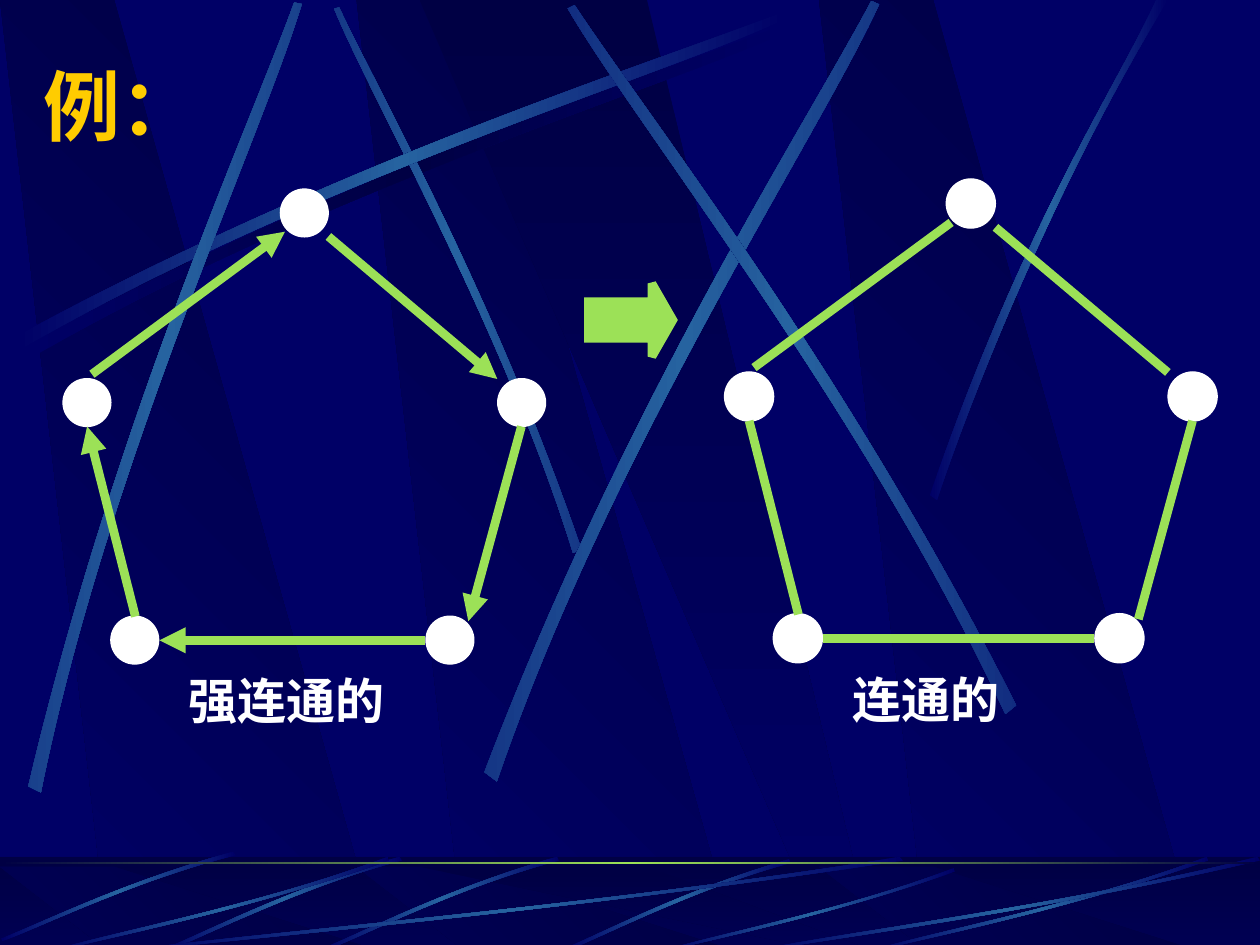
from copy import deepcopy

from lxml.etree import SubElement as Sub
from pptx import Presentation
from pptx.dml.color import RGBColor
from pptx.enum.shapes import MSO_CONNECTOR as LINK, MSO_SHAPE as SHAPE
from pptx.enum.text import MSO_ANCHOR as ANCHOR
from pptx.oxml.ns import qn
from pptx.util import Cm, Pt

UNIT = 2.54
NAVY = RGBColor(0x00, 0x00, 0x66)
DARK = RGBColor(0x00, 0x00, 0x44)
BLUE = RGBColor(0x26, 0x63, 0xA0)
LIME = RGBColor(0x9C, 0xE1, 0x57)
GOLD = RGBColor(0xFF, 0xCC, 0x00)
WHITE = RGBColor(0xFF, 0xFF, 0xFF)
HAN = "Noto Sans CJK SC"

BEAM = [(0.285, 1), (1, 1), (0.3, 0), (0, 0)]
WEDGE = [(0, 0), (0.9, 1), (1, 1), (0.5, 0)]
SWEEP = [(0, 0.96), (0.43, 0.43), (0.83, 0.15), (0.995, 0),
         (1, 0.02), (0.84, 0.19), (0.38, 0.5), (0.005, 1)]
STALK = [(0, 0.99), (0.4, 0.44), (0.79, 0.17), (0.95, 0),
         (1, 0), (0.52, 0.37), (0.16, 0.81), (0.03, 1)]
BLADE = [(0.99, 0), (0.53, 0.33), (0.17, 0.8), (0, 0.97),
         (0.005, 1), (0.17, 0.84), (0.58, 0.31), (1, 0.04)]
REED = [(1, 0.04), (0.57, 0.57), (0.17, 0.85), (0.005, 1),
        (0, 0.99), (0.16, 0.81), (0.62, 0.51), (0.995, 0)]
NODES = [(0.5, 0), (0, 0.444), (1, 0.444), (0.11, 1), (0.835, 1)]
EDGES = [((0.15, 0.9), (0.05, 0.5)), ((0.06, 0.39), (0.46, 0.09)),
         ((0.55, 0.1), (0.9, 0.4)), ((0.95, 0.5), (0.84, 0.91)),
         ((0.75, 0.95), (0.2, 0.95))]


def span(*nums):
    return [Cm(num * UNIT) for num in nums]


def spot(box, point):
    left, top, wide, high = box
    return span(left + point[0] * wide, top + point[1] * high)


def blend(shape, tones, angle):
    shape.fill.gradient()
    shape.fill.gradient_angle = angle
    grad = shape._element.spPr.find(qn("a:gradFill"))
    grad.set("rotWithShape", "0")
    stops = grad.find(qn("a:gsLst"))
    if len(tones) == 3:
        stops.insert(1, deepcopy(stops[0]))
    for rank, (stop, tone) in enumerate(zip(shape.fill.gradient_stops, tones)):
        stop.color.rgb = tone
        stop.position = rank / (len(tones) - 1)


def add_path(group, box, points):
    first, *rest = [spot(box, point) for point in points]
    maker = group.shapes.build_freeform(*first)
    maker.add_line_segments(rest, close=True)
    shape = maker.convert_to_shape()
    shape.shadow.inherit = False
    shape.line.fill.background()
    return shape


def bend(shape):
    lines = list(shape._element.iter(qn("a:lnTo")))
    for trio in (lines[:3], lines[4:7]):
        arc = trio[0].makeelement(qn("a:cubicBezTo"))
        trio[0].addprevious(arc)
        for line in trio:
            arc.append(line[0])
            line.getparent().remove(line)


def add_band(group, box, form, turn=0, flip=False, tone=BLUE):
    points = [(1 - x, y) for x, y in form] if flip else form
    shape = add_path(group, box, points)
    bend(shape)
    shape.rotation = turn
    blend(shape, [NAVY, tone, NAVY], 180)


def add_shape(group, kind, box):
    shape = group.shapes.add_shape(kind, *span(*box))
    shape.shadow.inherit = False
    shape.line.fill.background()
    return shape


def add_beams(group, box):
    left, top, wide, high = box
    for shift in (2.83, 0, 6.5):
        beam = add_path(group, (left + shift, top, 3.02, high), BEAM)
        blend(beam, [DARK, NAVY], 225)
    wedge = add_path(group, (left + 3.33, top, 3.61, high), WEDGE)
    blend(wedge, [DARK, NAVY], 270)


def add_sky(group, box):
    left, top, wide, high = box
    add_beams(group, box)
    bands = [
        (0.2, 0.18, 6.09, 2.67, SWEEP, 0, False, DARK),
        (1.41, 1.35, 4.42, 1.75, SWEEP, 45, True, BLUE),
        (0.14, 0.1, 6.09, 2.67, SWEEP, 0, False, BLUE),
        (-1.71, 1.82, 6.08, 2.67, SWEEP, 311.7, False, BLUE),
        (2.31, 1.6, 6.24, 3.01, SWEEP, 321.6, False, BLUE),
        (3.23, 1.52, 6.08, 2.67, SWEEP, 34.8, True, BLUE),
        (7.38, 0, 1.89, 3.97, STALK, 0, False, BLUE),
    ]
    for x, y, w, h, *look in bands:
        add_band(group, (left + x, top + y, w, h), *look)


def add_floor(group, box):
    left, top, wide, high = box
    blend(add_shape(group, SHAPE.RECTANGLE, box), [DARK, NAVY], 270)
    add_beams(group, (left, top + 0.08, wide, high - 0.08))
    veil = add_shape(group, SHAPE.RECTANGLE, box)
    veil.fill.solid()
    veil.fill.fore_color.rgb = DARK
    tint = veil._element.spPr.find(qn("a:solidFill"))[0]
    Sub(tint, qn("a:alpha"), val="50000")
    bands = [
        (4.48, 0.02, 1.8, 0.73, BLADE), (2.56, 0, 1.88, 0.75, BLADE),
        (1.31, 0, 1.88, 0.75, BLADE), (0.01, -0.04, 1.86, 0.71, BLADE),
        (1, 0, 6.17, 0.75, REED), (0.42, 0, 2.67, 0.75, REED),
        (5.27, 0.09, 2.31, 0.66, REED), (6.92, 0, 2.67, 0.75, REED),
        (6, 0, 4, 0.75, REED),
    ]
    for x, y, w, h, form in bands:
        add_band(group, (left + x, top + y, w, h), form)
    rule = add_shape(group, SHAPE.RECTANGLE, (left, top + 0.04, wide, 0.02))
    blend(rule, [DARK, LIME, DARK], 180)


def add_master(slide, master):
    group = slide.shapes.add_group_shape()
    add_sky(group, (0, 0, 10, 7.52))
    add_floor(group, (0, 6.8, 10, 0.75))
    for rank, mark in enumerate(group._element.iter(qn("p:cNvPr")), 100):
        mark.set("id", str(rank))
    master.shapes._spTree.append(group._element)


def add_text(group, box, words, size, face, tone, wrap=True):
    frame = group.shapes.add_textbox(*span(*box)).text_frame
    frame.word_wrap = wrap
    frame.vertical_anchor = ANCHOR.MIDDLE
    frame.text = words
    run = frame.paragraphs[0].runs[0]
    font = run.font
    font.size, font.bold, font.name = Pt(size), True, face
    font.color.rgb = tone
    Sub(run._r.get_or_add_rPr(), qn("a:ea"), typeface=HAN)


def add_graph(slide, box, dot, words, width, arrow):
    left, top, wide, high = box
    group = slide.shapes.add_group_shape()
    for x, y in NODES:
        place = (left + x * (wide - dot), top + y * (high - dot), dot, dot)
        node = add_shape(group, SHAPE.OVAL, place)
        node.fill.solid()
        node.fill.fore_color.rgb = WHITE
        node.line.color.rgb = WHITE
        node.line.width = Pt(0.75)
    for start, end in EDGES:
        edge = group.shapes.add_connector(
            LINK.STRAIGHT, *spot(box, start), *spot(box, end))
        edge.line.color.rgb = LIME
        edge.line.width = Pt(5)
        if arrow:
            Sub(edge.line._get_or_add_ln(), qn("a:tailEnd"), type="triangle")
        Sub(edge._element.spPr, qn("a:effectLst"))
    label = (left + 0.235 * wide, top + high, width, 0.57)
    add_text(group, label, words, 28, HAN, WHITE, not arrow)


def add_arrow(slide, box):
    arrow = add_shape(slide, SHAPE.RIGHT_ARROW, box)
    arrow.adjustments[0] = 0.5
    arrow.adjustments[1] = 0.286
    arrow.fill.solid()
    arrow.fill.fore_color.rgb = LIME
    arrow.line.color.rgb = LIME
    arrow.line.width = Pt(5)
    Sub(arrow.line._get_or_add_ln(), qn("a:miter"), lim="800000")


def main():
    deck = Presentation()
    deck.slide_width, deck.slide_height = span(10, 7.5)
    slide = deck.slides.add_slide(deck.slide_layouts[6])
    slide.background.fill.solid()
    slide.background.fill.fore_color.rgb = NAVY
    add_master(slide, deck.slide_master)
    add_text(slide, (0.25, 0.41, 8.5, 0.84), "例：", 44, "Montserrat", GOLD)
    add_graph(slide, (0.5, 1.5, 3.83, 3.77), 0.38, "强连通的", 1.75, True)
    add_graph(slide, (5.75, 1.42, 3.91, 3.84), 0.39, "连通的", 1.49, False)
    add_arrow(slide, (4.67, 2.25, 0.67, 0.58))
    deck.save("out.pptx")


if __name__ == "__main__":
    main()
